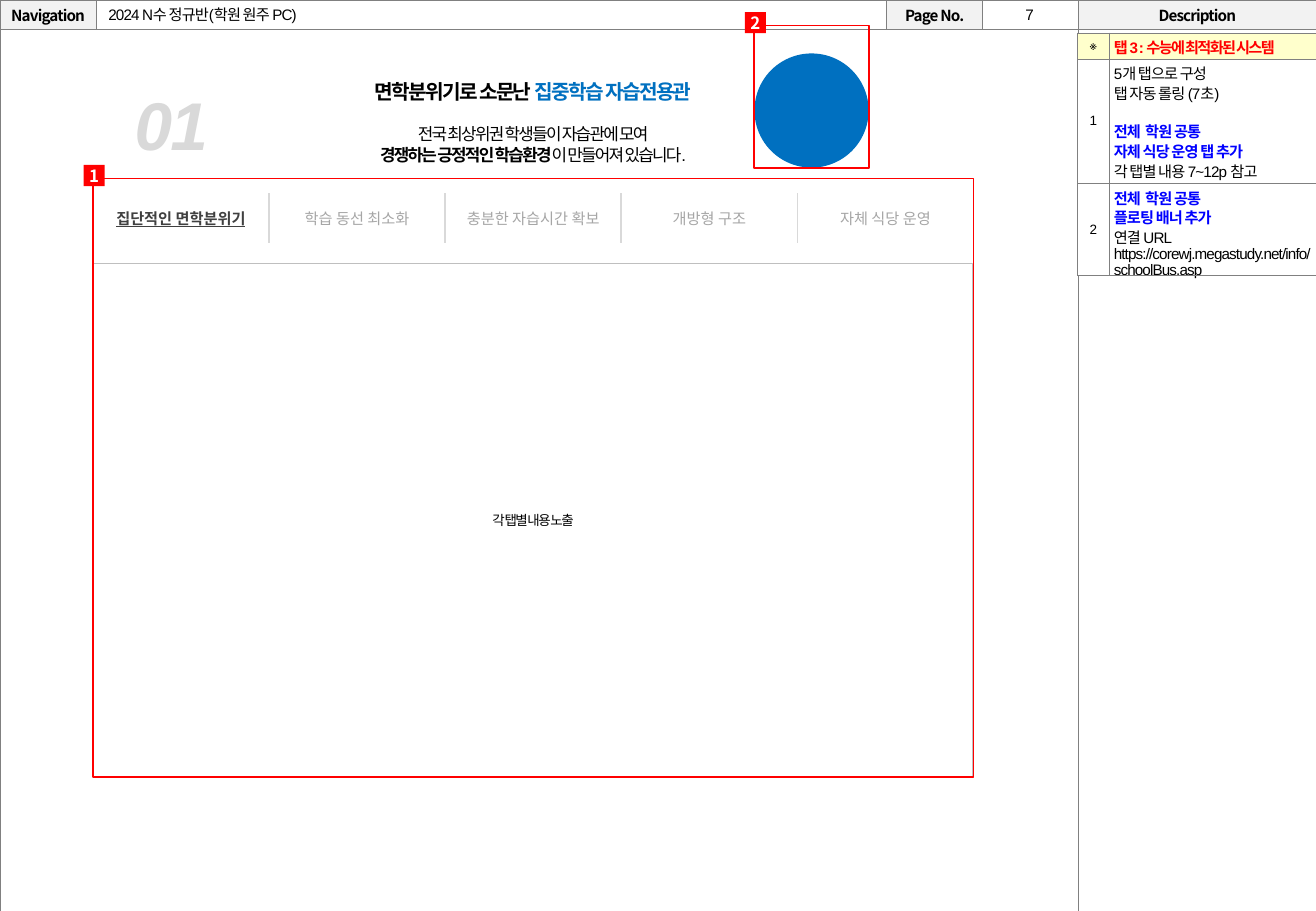
from dataclasses import dataclass

from lxml.etree import SubElement
from pptx import Presentation
from pptx.dml.color import RGBColor
from pptx.enum.shapes import MSO_SHAPE
from pptx.enum.text import MSO_ANCHOR, PP_ALIGN
from pptx.oxml.ns import qn
from pptx.util import Pt


@dataclass(frozen=True)
class Theme:
    sans: str = "Arial"
    korean: str = "Noto Sans CJK KR"
    tab_font: str = "DejaVu Sans"
    black: str = "000000"
    white: str = "FFFFFF"
    red: str = "FF0000"
    blue: str = "0070C0"
    note_blue: str = "0000FF"
    header: str = "F2F2F2"
    highlight: str = "FFFFCC"
    grid: str = "808080"
    frame: str = "BFBFBF"
    pale: str = "D9D9D9"
    active: str = "404040"
    inactive: str = "A6A6A6"
    small: float = 8
    body: float = 9
    copy: float = 10
    heading: float = 12
    numeral: float = 40


T = Theme()


def run(text, **fmt):
    """A piece of text with its format."""
    return text, fmt


def para(*runs, align=PP_ALIGN.LEFT, before=0, line=None):
    return runs, align, before, line


def centred(text, **fmt):
    return [para(run(text, **fmt), align=PP_ALIGN.CENTER)]


def add_run(p, text, size=T.body, color=T.black, font=T.sans, bold=False,
            italic=False, underline=False, spacing=0):
    r = p.add_run()
    r.text = text
    f = r.font
    f.size, f.name, f.bold, f.italic, f.underline = Pt(size), font, bold, italic, underline
    f.color.rgb = RGBColor.from_string(color)
    rPr = r._r.get_or_add_rPr()
    rPr.set("spc", str(int(spacing * 100)))
    SubElement(rPr, qn("a:ea")).set("typeface", T.korean)


def write(tf, paras):
    for i, (runs, align, before, line) in enumerate(paras):
        p = tf.add_paragraph() if i else tf.paragraphs[0]
        p.alignment, p.space_before = align, Pt(before)
        if line:
            p.line_spacing = line
        for text, fmt in runs:
            add_run(p, text, **fmt)


class Page:
    def __init__(self, prs):
        self.s = prs.slides.add_slide(prs.slide_layouts[5])

    def frame(self, tf, paras, inset=(7.2, 3.6), anchor=MSO_ANCHOR.MIDDLE, wrap=True):
        tf.word_wrap, tf.vertical_anchor = wrap, anchor
        tf.margin_left = tf.margin_right = Pt(inset[0])
        tf.margin_top = tf.margin_bottom = Pt(inset[1])
        write(tf, paras)

    def title(self, box, paras):
        sp = self.s.shapes.title
        sp.left, sp.top, sp.width, sp.height = map(Pt, box)
        self.frame(sp.text_frame, paras)

    def text(self, box, paras, **kw):
        sp = self.s.shapes.add_textbox(*map(Pt, box))
        self.frame(sp.text_frame, paras, **kw)

    def shape(self, box, kind=MSO_SHAPE.RECTANGLE, fill=None, line=None, width=1,
              paras=(), **kw):
        sp = self.s.shapes.add_shape(kind, *map(Pt, box))
        sp.shadow.inherit = False
        if fill:
            sp.fill.solid()
            sp.fill.fore_color.rgb = RGBColor.from_string(fill)
        else:
            sp.fill.background()
        if line:
            sp.line.color.rgb = RGBColor.from_string(line)
            sp.line.width = Pt(width)
        else:
            sp.line.fill.background()
        self.frame(sp.text_frame, paras, **kw)

    def callout(self, box, number):
        """Red outline with a numbered badge on its top left corner."""
        self.shape(box, line=T.red)
        self.shape((box[0] - 5.5, box[1] - 8, 12.5, 12.5), fill=T.red, inset=(0, 0), wrap=False,
                   paras=centred(number, size=T.copy, font=T.korean, color=T.white, bold=True))

    def table(self, left, top, cols, rows):
        tbl = self.s.shapes.add_table(len(rows), len(cols), Pt(left), Pt(top),
                                      Pt(sum(cols)), Pt(sum(rows))).table
        tbl.first_row = tbl.horz_banding = False
        for col, width in zip(tbl.columns, cols):
            col.width = Pt(width)
        for row, height in zip(tbl.rows, rows):
            row.height = Pt(height)
        return tbl

    def cell(self, cell, paras=(), fill=None, inset=0, color=T.grid, width=0.25, sides="LRTB"):
        cell.margin_left = cell.margin_right = Pt(inset)
        cell.margin_top = cell.margin_bottom = Pt(inset)
        cell.vertical_anchor = MSO_ANCHOR.MIDDLE
        write(cell.text_frame, paras)
        if not paras:
            end = SubElement(cell.text_frame.paragraphs[0]._p, qn("a:endParaRPr"))
            end.set("sz", str(T.body * 100))
        tcPr = cell._tc.get_or_add_tcPr()
        for side in "LRTB":
            ln = SubElement(tcPr, qn(f"a:ln{side}"), w=str(Pt(width)))
            if side in sides:
                SubElement(SubElement(ln, qn("a:solidFill")), qn("a:srgbClr")).set("val", color)
            else:
                SubElement(ln, qn("a:noFill"))
        if fill:
            cell.fill.solid()
            cell.fill.fore_color.rgb = RGBColor.from_string(fill)
        else:
            cell.fill.background()


def page_grid(page):
    tbl = page.table(0, 0, (57, 468.5, 57, 56.5, 141.5), (17.3, 522.7))
    tbl.cell(1, 0).merge(tbl.cell(1, 3))
    for c, label in enumerate(("Navigation", "", "Page No.", "", "Description")):
        paras = centred(label, font=T.korean, bold=True, spacing=-0.5) if label else ()
        page.cell(tbl.cell(0, c), paras, fill=T.header if label else None)
        page.cell(tbl.cell(1, c))
    page.title((57, 0, 469, 17), [para(run("2024 N수 정규반(학원 원주 PC)", spacing=-0.5))])
    page.text((582.5, 0, 55.5, 17), centred("7", spacing=-0.5), inset=(0, 0))


def descriptions(page):
    def note(text, before=0, **fmt):
        return para(run(text, **{"spacing": -0.5, **fmt}), before=before, line=0.9)

    blue = dict(color=T.note_blue, bold=True)
    rows = (
        ("※", [note("탭 3 : 수능에 최적화된 시스템", color=T.red, bold=True, spacing=-1)]),
        ("1", [note("5개 탭으로 구성"),
               note("탭 자동 롤링 (7초)"),
               note("전체  학원 공통", before=11, **blue),
               note("자체 식당 운영 탭 추가", **blue),
               note("각 탭별 내용 7~12p 참고")]),
        ("2", [note("전체  학원 공통", **blue),
               note("플로팅 배너 추가", **blue),
               note("연결 URL https://corewj.megastudy.net/info/schoolBus.asp")]),
    )
    tbl = page.table(638.6, 19.4, (18.8, 122.6), (15.4, 74, 54.5))
    for i, (mark, notes) in enumerate(rows):
        fill = T.white if i else T.highlight
        page.cell(tbl.cell(i, 0), centred(mark, size=T.small, spacing=-1), fill, inset=2.8)
        page.cell(tbl.cell(i, 1), notes, fill, inset=2.8)


def intro(page):
    bold = dict(size=T.heading, bold=True, spacing=-1)
    plain = dict(size=T.copy, spacing=-1)
    mid = PP_ALIGN.CENTER
    page.text((55.5, 44, 521, 58), [
        para(run("면학분위기로 소문난 ", **bold),
             run("집중학습 자습전용관", color=T.blue, **bold), align=mid, line=Pt(14)),
        para(run("전국 최상위권 학생들이 자습관에 모여", **plain), align=mid, before=12, line=Pt(12)),
        para(run("경쟁하는 긍정적인 학습환경", bold=True, **plain),
             run("이 만들어져 있습니다.", **plain), align=mid, line=Pt(12)),
    ], anchor=MSO_ANCHOR.TOP)
    page.text((72.7, 45.4, 62.6, 55.4), [para(run(
        "01", size=T.numeral, color=T.pale, bold=True, italic=True, spacing=-1))],
        anchor=MSO_ANCHOR.TOP, wrap=False)


def tabs(page):
    labels = ("집단적인 면학분위기", "학습 동선 최소화", "충분한 자습시간 확보",
              "개방형 구조", "자체 식당 운영")
    page.shape((55.5, 156.3, 521, 304.5), fill=T.white, line=T.frame, width=0.25,
               paras=centred("각 탭별 내용 노출", size=T.small, spacing=-1))
    tbl = page.table(55, 114.5, [104.4] * len(labels), [29.3])
    for i, label in enumerate(labels):
        on = i == 0
        page.cell(tbl.cell(0, i), centred(
            label, font=T.tab_font, color=T.active if on else T.inactive, bold=on, underline=on),
            color=T.pale, width=1, sides="LR")
    page.callout((55, 105.8, 522, 355), "1")


def main():
    prs = Presentation()
    prs.slide_width, prs.slide_height = Pt(780), Pt(540)
    page = Page(prs)
    page_grid(page)
    descriptions(page)
    intro(page)
    tabs(page)
    page.shape((447.2, 31.7, 67.7, 67.7), MSO_SHAPE.OVAL, fill=T.blue)
    page.callout((447, 15.2, 68.2, 84.6), "2")
    prs.save("out.pptx")


if __name__ == "__main__":
    main()
